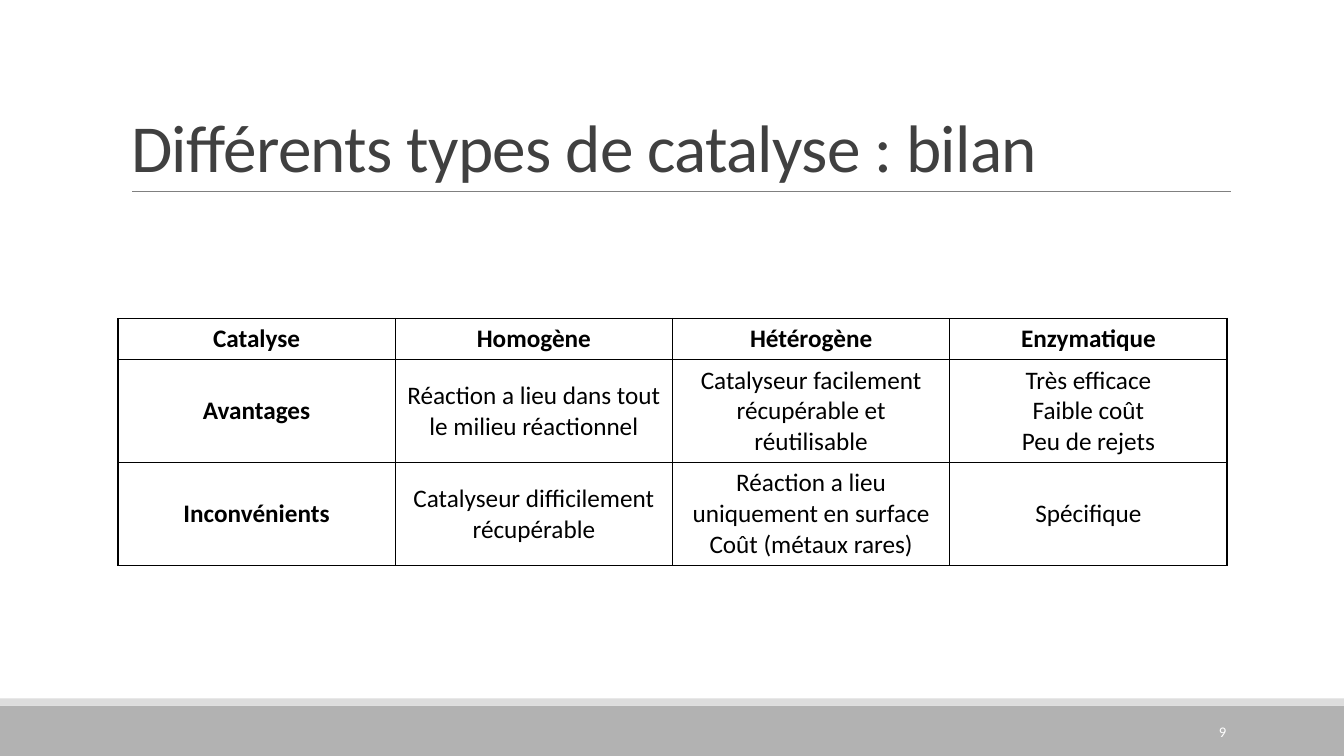
from dataclasses import dataclass

from lxml.etree import SubElement
from pptx import Presentation
from pptx.dml.color import RGBColor
from pptx.enum.shapes import MSO_CONNECTOR, MSO_SHAPE
from pptx.enum.text import MSO_ANCHOR, PP_ALIGN
from pptx.oxml.ns import qn
from pptx.util import Inches, Pt


@dataclass(frozen=True)
class Theme:
    font: str = "Calibri"
    title_size: float = 48
    table_size: float = 18
    number_size: float = 10.5
    title: str = "404040"
    text: str = "000000"
    white: str = "FFFFFF"
    rule: str = "808080"
    footer: str = "B2B2B2"
    footer_edge: str = "DDDDDD"


THEME = Theme()
WIDTH, HEIGHT = 13.33, 7.5
FOOTER_TOP = 7
EDGE = 0.07

# A line break inside a cell starts a new paragraph
ROWS = [
    ["Catalyse", "Homogène", "Hétérogène", "Enzymatique"],
    ["Avantages",
     "Réaction a lieu dans tout le milieu réactionnel",
     "Catalyseur facilement récupérable et réutilisable",
     "Très efficace\nFaible coût\nPeu de rejets"],
    ["Inconvénients",
     "Catalyseur difficilement récupérable",
     "Réaction a lieu uniquement en surface\nCoût (métaux rares)",
     "Spécifique"],
]


def box(*lengths):
    return [Inches(n) for n in lengths]


def style(p, size, color, bold=False, align=PP_ALIGN.LEFT):
    p.alignment = align
    p.font.name = THEME.font
    p.font.size = Pt(size)
    p.font.bold = bold
    p.font.color.rgb = RGBColor.from_string(color)


def add_band(s, top, height, color):
    sp = s.shapes.add_shape(MSO_SHAPE.RECTANGLE, *box(0, top, WIDTH, height))
    sp.shadow.inherit = False
    sp.fill.solid()
    sp.fill.fore_color.rgb = RGBColor.from_string(color)
    sp.line.fill.background()


def add_rule(s, left, right, y):
    line = s.shapes.add_connector(MSO_CONNECTOR.STRAIGHT, *box(left, y, right, y))
    line.line.color.rgb = RGBColor.from_string(THEME.rule)
    line.line.width = Pt(0.5)
    SubElement(line._element.spPr, qn("a:effectLst"))


def set_title(s, text):
    sp = s.shapes.title
    sp.left, sp.top, sp.width, sp.height = box(1.2, 0.31, 11, 1.59)
    tf = sp.text_frame
    tf.text = text
    tf.word_wrap = True
    tf.vertical_anchor = MSO_ANCHOR.BOTTOM
    p = tf.paragraphs[0]
    p.line_spacing = 0.85
    style(p, THEME.title_size, THEME.title)
    p.runs[0].font._element.set("spc", "-50")


def add_borders(cell):
    tcPr = cell._tc.get_or_add_tcPr()
    # Borders must precede the fill in the cell properties
    for i, side in enumerate(("a:lnL", "a:lnR", "a:lnT", "a:lnB")):
        ln = SubElement(tcPr, qn(side), w=str(Pt(1)))
        fill = SubElement(ln, qn("a:solidFill"))
        SubElement(fill, qn("a:srgbClr"), val=THEME.text)
        tcPr.insert(i, ln)


def add_table(s, rows, left, top, width, heights):
    frame = s.shapes.add_table(len(rows), len(rows[0]),
                               *box(left, top, width, sum(heights)))
    table = frame.table
    table.horz_banding = table.first_row = False
    for r, row in enumerate(rows):
        table.rows[r].height = Inches(heights[r])
        for c, text in enumerate(row):
            cell = table.cell(r, c)
            cell.text = text
            cell.vertical_anchor = MSO_ANCHOR.MIDDLE
            cell.fill.background()
            add_borders(cell)
            for p in cell.text_frame.paragraphs:
                style(p, THEME.table_size, THEME.text,
                      bold=r == 0 or c == 0, align=PP_ALIGN.CENTER)


def add_number(s, text):
    tf = s.shapes.add_textbox(*box(10.83, 7.06, 1.43, 0.4)).text_frame
    tf.word_wrap = True
    tf.vertical_anchor = MSO_ANCHOR.MIDDLE
    tf.text = text
    style(tf.paragraphs[0], THEME.number_size, THEME.white, align=PP_ALIGN.RIGHT)


def main():
    prs = Presentation()
    prs.slide_width, prs.slide_height = box(WIDTH, HEIGHT)
    s = prs.slides.add_slide(prs.slide_layouts[5])

    # Footer bands and title rule
    add_band(s, FOOTER_TOP, HEIGHT - FOOTER_TOP, THEME.footer)
    add_band(s, FOOTER_TOP - EDGE, EDGE, THEME.footer_edge)
    add_rule(s, 1.31, 12.21, 1.9)

    # Title, comparison table and page number
    set_title(s, "Différents types de catalyse : bilan")
    add_table(s, ROWS, 1.17, 3.16, 11, [0.41, 1.02, 1.02])
    add_number(s, "9")

    prs.save("out.pptx")


if __name__ == "__main__":
    main()
